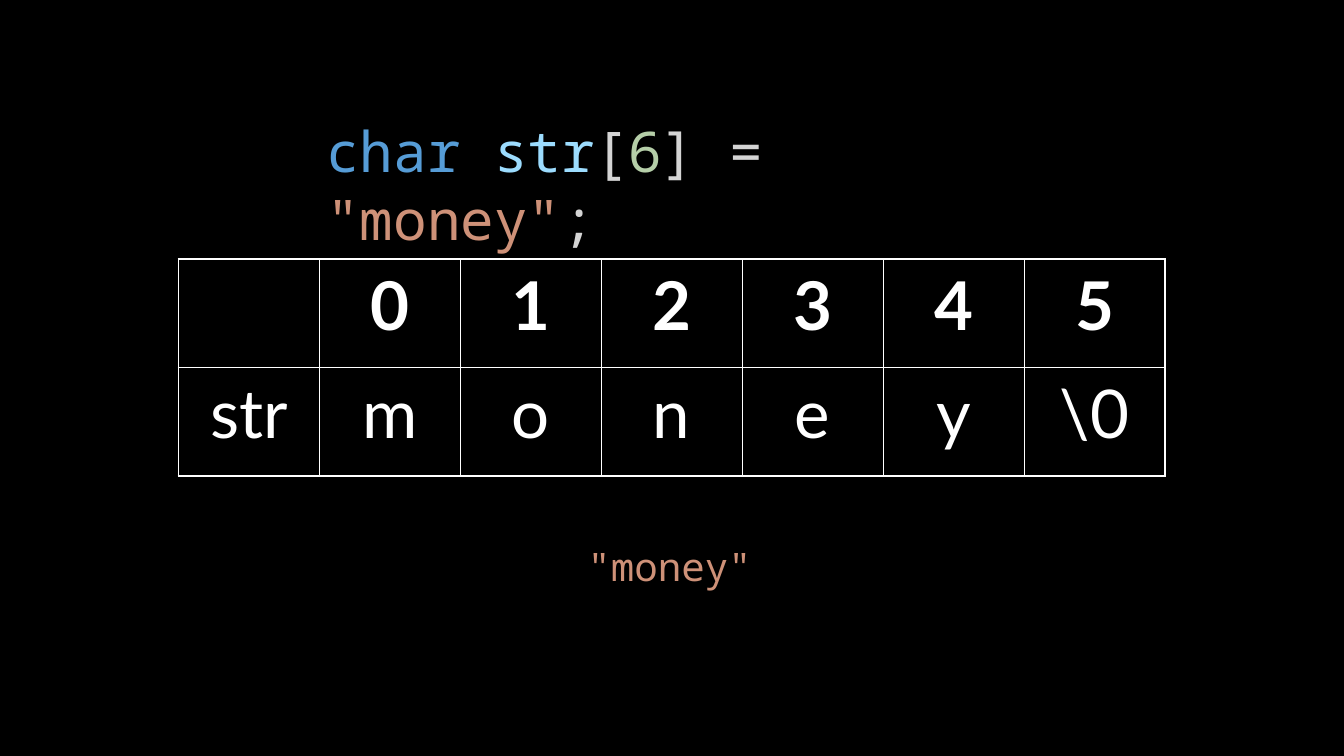
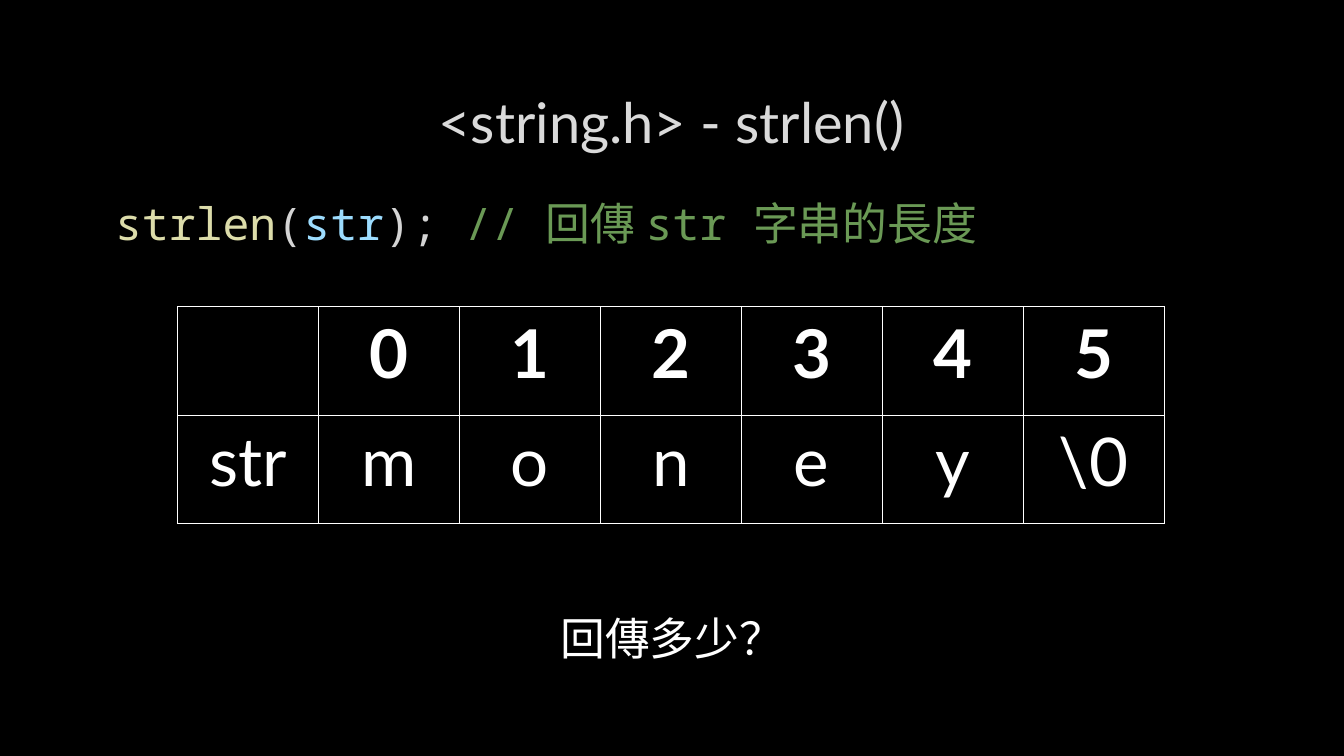
from lxml import etree
from pptx import Presentation
from pptx.dml.color import RGBColor
from pptx.enum import text
from pptx.oxml import ns
from pptx.util import Pt

BLACK = RGBColor(0x00, 0x00, 0x00)
WHITE = RGBColor(0xFF, 0xFF, 0xFF)
TITLE_GREY = RGBColor(0xDA, 0xDA, 0xDA)
KEYWORD = RGBColor(0x56, 0x9C, 0xD6)
VARIABLE = RGBColor(0x9C, 0xDC, 0xFE)
PLAIN = RGBColor(0xD4, 0xD4, 0xD4)
NUMBER = RGBColor(0xB5, 0xCE, 0xA8)
STRING = RGBColor(0xCE, 0x91, 0x78)
FUNCTION = RGBColor(0xDC, 0xDC, 0xAA)
COMMENT = RGBColor(0x6A, 0x99, 0x55)
CODE_FONT = "Noto Sans Mono"
TEXT_FONT = "Lato"
CENTER = text.PP_ALIGN.CENTER
LEFT = text.PP_ALIGN.LEFT

INDICES = ["", *"012345"]
CHARACTERS = ["str", *"money", "\\0"]
COLUMN_WIDTH, ROW_HEIGHT = 100.7, 77.5


def write_line(frame, pieces, font_name, size, align=LEFT, bold=False):
    line = frame.paragraphs[0]
    line.alignment = align
    for words, colour in pieces:
        run = line.add_run()
        run.text = words
        run.font.color.rgb = colour
        for key, value in {"name": font_name, "size": Pt(size), "bold": bold}.items():
            setattr(run.font, key, value)


def place(part, left, top, width, height):
    for key, value in {"left": left, "top": top, "width": width, "height": height}.items():
        setattr(part, key, Pt(value))


prs = Presentation()
prs.slide_width, prs.slide_height = Pt(960), Pt(540)
backdrop = prs.slide_master.background.fill
backdrop.solid()
backdrop.fore_color.rgb = BLACK

array_slide = prs.slides.add_slide(prs.slide_layouts[6])
strlen_slide = prs.slides.add_slide(prs.slide_layouts[1])

heading = strlen_slide.shapes.title
place(heading, 72, 48, 815, 76.5)
heading.text_frame.vertical_anchor = text.MSO_ANCHOR.MIDDLE
write_line(heading.text_frame, [("<string.h> - strlen()", TITLE_GREY)], TEXT_FONT, 40, CENTER)

usage = strlen_slide.placeholders[1]
place(usage, 72, 136, 815, 320)
strlen_call = [("strlen", FUNCTION), ("(", PLAIN), ("str", VARIABLE), ("); ", PLAIN),
               ("// 回傳 str 字串的長度", COMMENT)]
write_line(usage.text_frame, strlen_call, CODE_FONT, 32)
usage_line = usage.text_frame.paragraphs[0]
usage_line.space_after = Pt(6)
usage_format = usage_line._p.get_or_add_pPr()
usage_format.set("marL", str(Pt(3)))
usage_format.set("indent", "0")
etree.SubElement(usage_format, ns.qn("a:buNone"))

for slide, left, top in [(array_slide, 127.4, 185), (strlen_slide, 126.7, 219)]:
    memory = slide.shapes.add_table(2, len(INDICES), Pt(left), Pt(top),
                                    Pt(COLUMN_WIDTH * len(INDICES)), Pt(ROW_HEIGHT * 2)).table
    for column in memory.columns:
        column.width = Pt(COLUMN_WIDTH)
    for row, values in enumerate([INDICES, CHARACTERS]):
        memory.rows[row].height = Pt(ROW_HEIGHT)
        for col, value in enumerate(values):
            cell = memory.cell(row, col)
            cell_format = cell._tc.get_or_add_tcPr()
            for side in ["lnL", "lnR", "lnT", "lnB"]:
                border = etree.SubElement(cell_format, ns.qn(f"a:{side}"), w=str(Pt(1)))
                border_fill = etree.SubElement(border, ns.qn("a:solidFill"))
                etree.SubElement(border_fill, ns.qn("a:srgbClr"), val=str(WHITE))
            cell.fill.solid()
            cell.fill.fore_color.rgb = BLACK
            if value:
                write_line(cell.text_frame, [(value, WHITE)], TEXT_FONT, 48, CENTER, row == 0)

declaration = [("char ", KEYWORD), ("str", VARIABLE), ("[", PLAIN), ("6", NUMBER),
               ("] = ", PLAIN), ('"money"', STRING), (";", PLAIN)]
labels = [
    (array_slide, (226, 80, 507.5, 78), declaration, CODE_FONT, 40, LEFT),
    (array_slide, (412.5, 384, 135.5, 63), [('"money"', STRING)], CODE_FONT, 28, LEFT),
    (strlen_slide, (370, 432.5, 220.5, 46), [("回傳多少？", WHITE)], TEXT_FONT, 32, CENTER),
]
for slide, box, pieces, font_name, size, align in labels:
    label = slide.shapes.add_textbox(*map(Pt, box))
    label.text_frame.word_wrap = True
    label.text_frame.auto_size = text.MSO_AUTO_SIZE.SHAPE_TO_FIT_TEXT
    write_line(label.text_frame, pieces, font_name, size, align)

prs.save("out.pptx")
